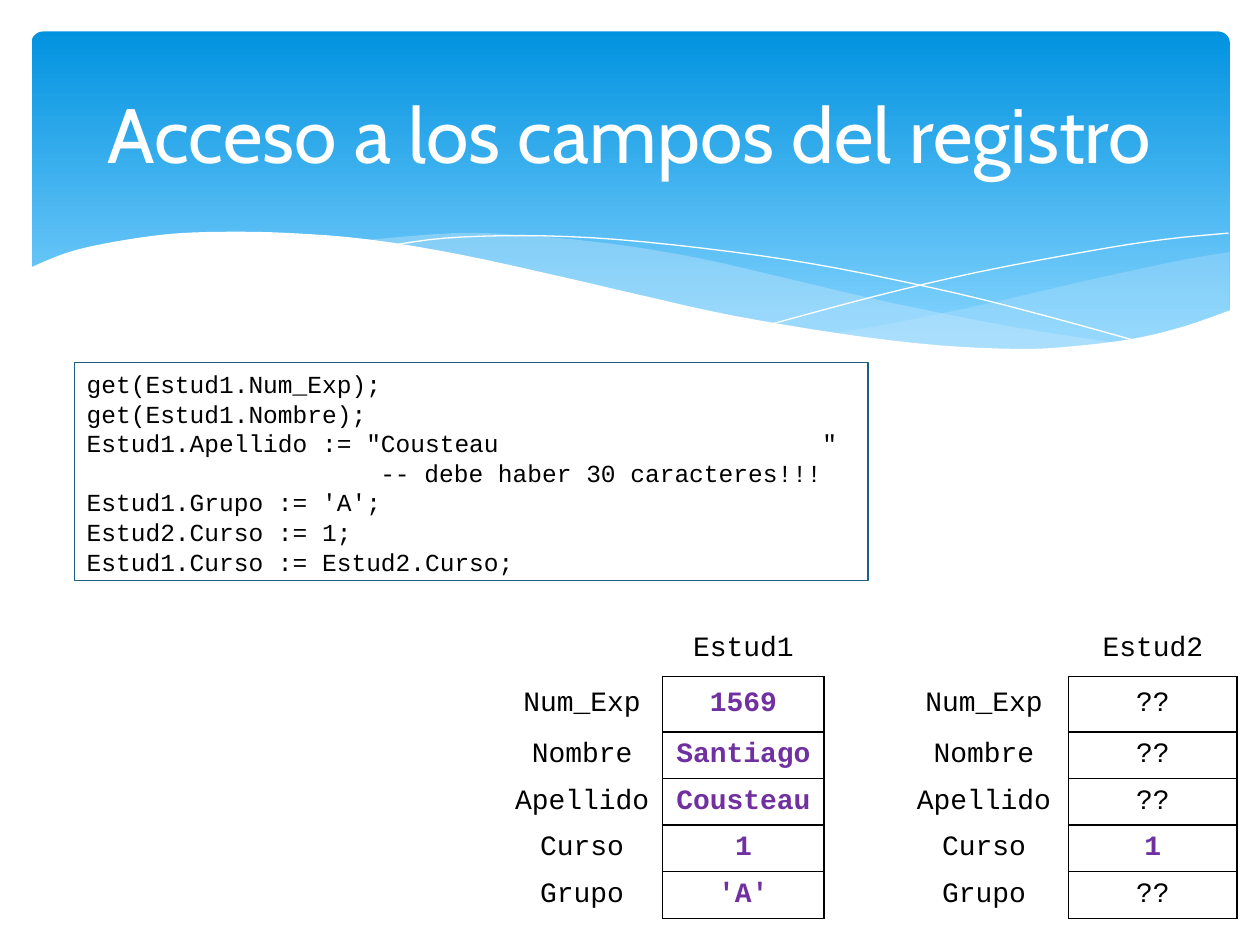
from dataclasses import dataclass

from lxml import etree
from pptx import Presentation
from pptx.dml.color import RGBColor
from pptx.enum.shapes import MSO_SHAPE
from pptx.enum.text import MSO_ANCHOR, PP_ALIGN
from pptx.oxml.ns import qn
from pptx.util import Inches, Pt

RECT, ROUND_RECT = MSO_SHAPE.RECTANGLE, MSO_SHAPE.ROUNDED_RECTANGLE
CENTER, JUSTIFY = PP_ALIGN.CENTER, PP_ALIGN.JUSTIFY
TOP, MIDDLE = MSO_ANCHOR.TOP, MSO_ANCHOR.MIDDLE


@dataclass(frozen=True)
class Theme:
    sky_top: str = "0293E0"
    sky_bottom: str = "83D3FE"
    mist: str = "C6E7FC"
    white: str = "FFFFFF"
    ink: str = "000000"
    assigned: str = "7030A0"
    code_border: str = "1A5F84"
    title_font: str = "Cabin"
    code_font: str = "Courier New"
    title_size: int = 44
    code_size: int = 14
    cell_size: int = 16
    code_spacing: float = 16.9


def smooth_curve(points, steps=4):
    """Catmull-Rom curve through the given points."""
    padded = [points[0], *points, points[-1]]
    curve = [points[0]]
    for a, b, c, d in zip(padded, padded[1:], padded[2:], padded[3:]):
        for step in range(1, steps + 1):
            t = step / steps
            curve.append(tuple(
                0.5 * (2 * q + (r - p) * t + (2 * p - 5 * q + 4 * r - s) * t ** 2
                       + (3 * q - p - 3 * r + s) * t ** 3)
                for p, q, r, s in zip(a, b, c, d)))
    return curve


class SlideBuilder:
    def __init__(self, slide, theme):
        self.shapes = slide.shapes
        self.theme = theme

    def add_text(self, paragraph, text, align, color, **font):
        paragraph.alignment = align
        run = paragraph.add_run()
        run.text = text
        run.font.color.rgb = RGBColor.from_string(color)
        for name, value in font.items():
            setattr(run.font, name, value)

    def frame(self, shape, anchor):
        settings = {
            "word_wrap": True, "vertical_anchor": anchor,
            "margin_left": Inches(0.1), "margin_right": Inches(0.1),
            "margin_top": Inches(0.05), "margin_bottom": Inches(0.05),
        }
        for name, value in settings.items():
            setattr(shape.text_frame, name, value)
        return shape.text_frame

    def banner(self, box, corner):
        shape = self.shapes.add_shape(ROUND_RECT, *map(Inches, box))
        shape.shadow.inherit = False
        shape.adjustments[0] = corner
        shape.line.fill.background()
        shape.fill.gradient()
        shape.fill.gradient_angle = 270
        stops = ((0, self.theme.sky_top), (0.9, self.theme.sky_bottom))
        for stop, (position, color) in zip(shape.fill.gradient_stops, stops):
            stop.position = position
            stop.color.rgb = RGBColor.from_string(color)

    def wave(self, points, fill=None, alpha=None):
        """Filled outline, or an open white hairline when there is no fill."""
        start, *rest = [(Inches(x), Inches(y)) for x, y in points]
        outline = self.shapes.build_freeform(*start)
        outline.add_line_segments(rest, close=fill is not None)
        shape = outline.convert_to_shape()
        shape.shadow.inherit = False
        if fill is None:
            shape.fill.background()
            shape.line.color.rgb = RGBColor.from_string(self.theme.white)
            shape.line.width = Pt(0)
            return
        shape.line.fill.background()
        shape.fill.solid()
        shape.fill.fore_color.rgb = RGBColor.from_string(fill)
        if alpha is not None:
            color = shape.element.spPr.find(qn("a:solidFill")).find(qn("a:srgbClr"))
            etree.SubElement(color, qn("a:alpha"), val=str(alpha * 1000))

    def title(self, box, text):
        theme = self.theme
        frame = self.frame(self.shapes.add_textbox(*map(Inches, box)), MIDDLE)
        self.add_text(frame.paragraphs[0], text, CENTER, theme.white,
                      name=theme.title_font, size=Pt(theme.title_size))

    def code(self, box, lines):
        theme = self.theme
        shape = self.shapes.add_shape(RECT, *map(Inches, box))
        shape.shadow.inherit = False
        shape.fill.background()
        shape.line.color.rgb = RGBColor.from_string(theme.code_border)
        shape.line.width = Pt(0.75)
        frame = self.frame(shape, TOP)
        for index, (indent, text) in enumerate(lines):
            paragraph = frame.add_paragraph() if index else frame.paragraphs[0]
            paragraph.line_spacing = Pt(theme.code_spacing)
            if indent:
                paragraph._p.get_or_add_pPr().set("marL", str(Inches(indent)))
            self.add_text(paragraph, text, JUSTIFY, theme.ink,
                          name=theme.code_font, size=Pt(theme.code_size))

    def border(self, cell, side, visible):
        line = etree.SubElement(cell._tc.get_or_add_tcPr(), qn(f"a:ln{side}"),
                                w=str(Pt(1)))
        if visible:
            fill = etree.SubElement(line, qn("a:solidFill"))
            etree.SubElement(fill, qn("a:srgbClr"), val=self.theme.ink)
        else:
            etree.SubElement(line, qn("a:noFill"))

    def records(self, box, widths, heights, rows, value_columns, assigned):
        theme = self.theme
        table = self.shapes.add_table(len(rows), len(widths), *map(Inches, box)).table
        table.first_row = table.horz_banding = False
        for column, width in zip(table.columns, widths):
            column.width = Inches(width)
        for row, height in zip(table.rows, heights):
            row.height = Inches(height)

        def boxed(r, c):
            return 0 < r < len(rows) and c in value_columns

        neighbours = {"L": (0, -1), "R": (0, 1), "T": (-1, 0), "B": (1, 0)}
        for r, texts in enumerate(rows):
            for c, text in enumerate(texts):
                cell = table.cell(r, c)
                cell.vertical_anchor = MIDDLE
                cell.margin_top = cell.margin_bottom = 0
                for side, (dr, dc) in neighbours.items():
                    self.border(cell, side, boxed(r, c) or boxed(r + dr, c + dc))
                cell.fill.background()
                if text:
                    strong = (r, c) in assigned
                    self.add_text(cell.text_frame.paragraphs[0], text, CENTER,
                                  theme.assigned if strong else theme.ink, bold=strong,
                                  name=theme.code_font, size=Pt(theme.cell_size))


def main():
    theme = Theme()
    deck = Presentation()
    deck.slide_width, deck.slide_height = Inches(10), Inches(7.5)
    page = SlideBuilder(deck.slides.add_slide(deck.slide_layouts[6]), theme)

    # Banner with its waves
    page.banner((0.25, 0.25, 9.51, 2.7), 0.034)
    right_top = [(9.76, 2), (9.35, 2.07), (8.61, 2.23), (7.79, 2.42), (7.06, 2.57), (6.61, 2.65)]
    right_bottom = [(6.61, 2.65), (7.05, 2.71), (7.57, 2.76), (8.14, 2.78), (8.63, 2.75),
                    (9.13, 2.67), (9.49, 2.57), (9.76, 2.47)]
    page.wave(smooth_curve(right_top) + smooth_curve(right_bottom), theme.mist, 29)
    middle_top = [(8.93, 2.73), (8.07, 2.6), (7.06, 2.4), (6.29, 2.22), (5.55, 2.05),
                  (4.89, 1.94), (4.2, 1.87), (3.61, 1.85), (2.86, 1.91)]
    middle_bottom = [(2.86, 1.91), (3.62, 2.03), (4.49, 2.22), (5.3, 2.4), (6.18, 2.58),
                     (6.95, 2.7), (7.61, 2.77), (8.18, 2.78), (8.93, 2.73)]
    page.wave(smooth_curve(middle_top) + smooth_curve(middle_bottom), theme.mist, 40)
    page.wave(smooth_curve([(3.09, 1.95), (3.53, 1.89), (4.16, 1.87), (4.89, 1.9), (5.82, 2),
                            (6.65, 2.13), (7.6, 2.33), (8.31, 2.51), (9.07, 2.72)]))
    page.wave(smooth_curve([(6.13, 2.57), (6.95, 2.35), (7.76, 2.16), (8.66, 1.99),
                            (9.24, 1.9), (9.75, 1.85)]))
    lower_edge = [(9.77, 2.46), (9.4, 2.59), (8.99, 2.69), (8.5, 2.75), (8.09, 2.77),
                  (7.44, 2.74), (6.68, 2.65), (5.79, 2.5), (5.03, 2.33), (4.47, 2.2),
                  (3.65, 2.02), (2.92, 1.9), (2.3, 1.85), (1.77, 1.84), (1.32, 1.86),
                  (0.85, 1.93), (0.52, 2.01), (0.23, 2.13)]
    page.wave(smooth_curve(lower_edge) + [(0.23, 3.29), (9.77, 3.29)], theme.white)
    page.title((0.5, 0.37, 9, 1.37), "Acceso a los campos del registro")

    # Record fields
    fields = [("Num_Exp", "1569", "??"), ("Nombre", "Santiago", "??"),
              ("Apellido", "Cousteau", "??"), ("Curso", "1", "1"), ("Grupo", "'A'", "??")]
    rows = [("", "Estud1", "", "", "Estud2")]
    rows += [(field, first, "", field, second) for field, first, second in fields]
    assigned = {(r, 1) for r in range(1, len(rows))} | {(4, 4)}
    page.records((3.98, 4.93, 5.84, 2.36), (1.28, 1.28, 0.6, 1.34, 1.34),
                 (0.44, 0.44, 0.37, 0.37, 0.37, 0.37), rows, (1, 4), assigned)

    # Code: the surname literal is padded to its 30 characters
    page.code((0.59, 2.88, 6.3, 1.73), [
        (0, "get(Estud1.Num_Exp);"),
        (0, "get(Estud1.Nombre);"),
        (0, f'Estud1.Apellido := "{"Cousteau".ljust(30)}"'),
        (2.33, "-- debe haber 30 caracteres!!!"),
        (0, "Estud1.Grupo := 'A';"),
        (0, "Estud2.Curso := 1;"),
        (0, "Estud1.Curso := Estud2.Curso;"),
    ])
    deck.save("out.pptx")


if __name__ == "__main__":
    main()
